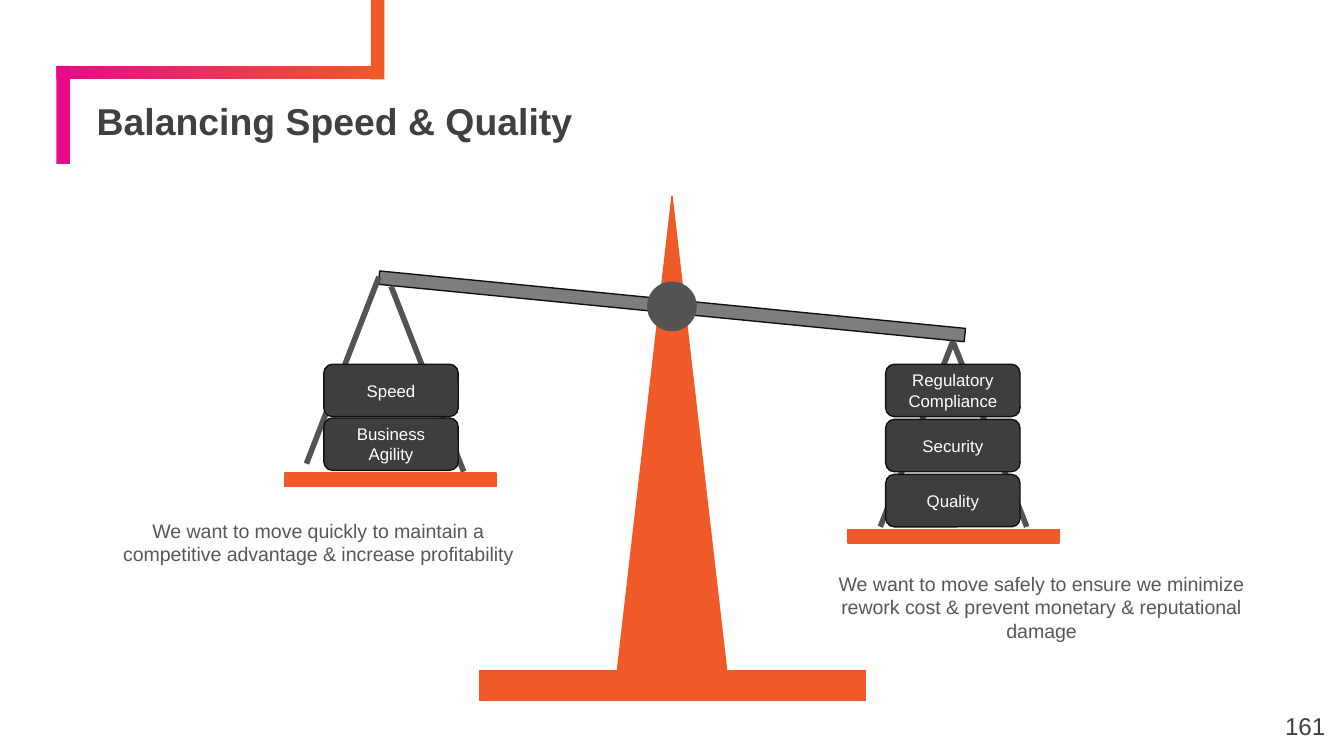
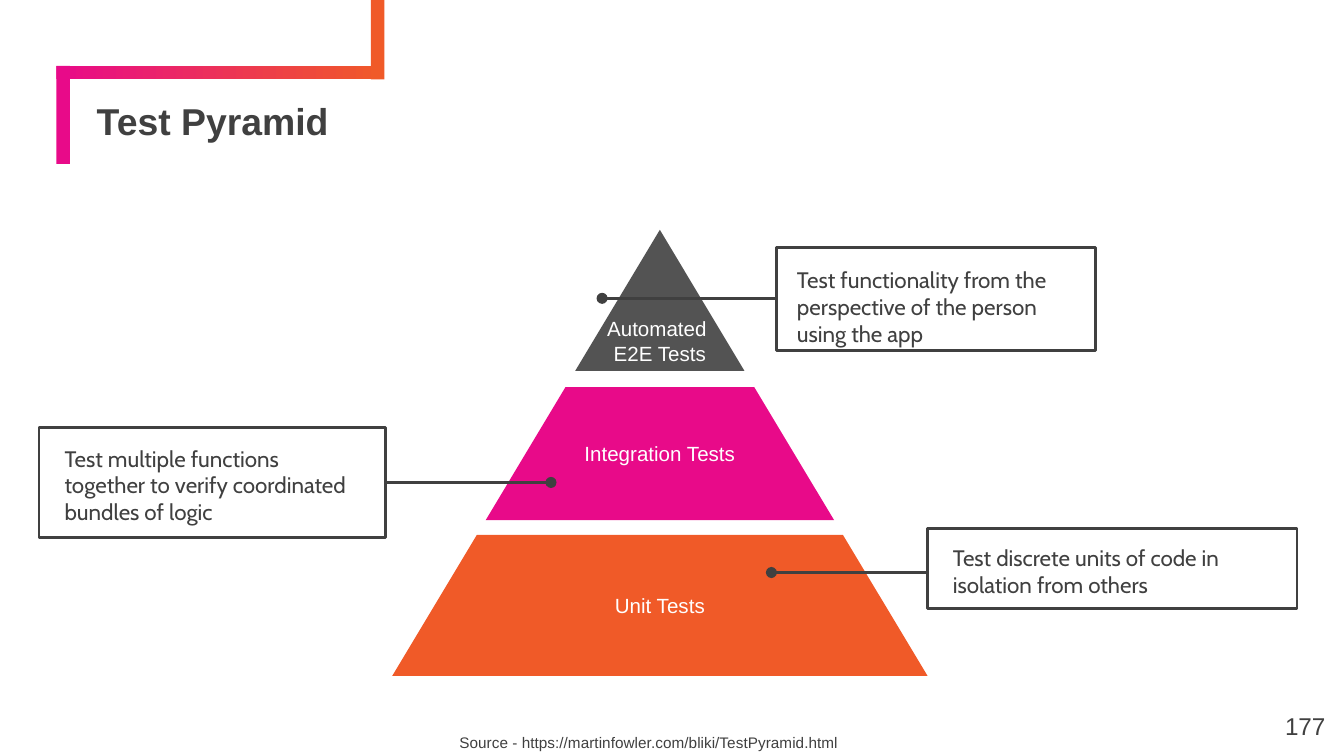
from lxml import etree
from pptx import Presentation
from pptx.dml.color import RGBColor
from pptx.enum.shapes import MSO_CONNECTOR, MSO_SHAPE, MSO_SHAPE_TYPE
from pptx.enum.text import MSO_ANCHOR, PP_ALIGN
from pptx.oxml.ns import qn
from pptx.util import Inches, Pt

RECTANGLE = MSO_SHAPE.RECTANGLE
ROUNDED = MSO_SHAPE.ROUNDED_RECTANGLE
TRIANGLE = MSO_SHAPE.ISOSCELES_TRIANGLE
OVAL = MSO_SHAPE.OVAL
STRAIGHT = MSO_CONNECTOR.STRAIGHT
LINE = MSO_SHAPE_TYPE.LINE
LEFT, CENTER, RIGHT = PP_ALIGN.LEFT, PP_ALIGN.CENTER, PP_ALIGN.RIGHT
TOP, MIDDLE, BOTTOM = MSO_ANCHOR.TOP, MSO_ANCHOR.MIDDLE, MSO_ANCHOR.BOTTOM

ORANGE, PINK, WHITE = "F05A28", "E80A89", "FFFFFF"
INK, STEEL, BLOCK, EDGE = "404040", "535353", "3E3E3E", "101010"
BEAM, CAPTION = "7D7D7D", "575757"
LABEL_INSETS = (0.07, 0.04, 0.07, 0.04)


def paint(shape, fill=None, line=None, weight=0.75):
    """Set the fill, outline and missing shadow of a shape or connector."""
    if line:
        shape.line.color.rgb = RGBColor.from_string(line)
        shape.line.width = Pt(weight)
    else:
        shape.line.fill.background()
    if shape.shape_type == LINE:
        etree.SubElement(shape._element.spPr, qn("a:effectLst"))
        return
    shape.shadow.inherit = False
    if fill:
        shape.fill.solid()
        shape.fill.fore_color.rgb = RGBColor.from_string(fill)


def write(shape, text, size, color, align=CENTER, anchor=MIDDLE,
          insets=LABEL_INSETS, font="Arial", bold=False):
    frame = shape.text_frame
    frame.word_wrap = True
    frame.vertical_anchor = anchor
    (frame.margin_left, frame.margin_top,
     frame.margin_right, frame.margin_bottom) = map(Inches, insets)
    frame.text = text
    for paragraph in frame.paragraphs:
        paragraph.alignment = align
        for run in paragraph.runs:
            run.font.name = font
            run.font.size = Pt(size)
            run.font.bold = bold
            run.font.color.rgb = RGBColor.from_string(color)


presentation = Presentation()
presentation.slide_width = Inches(10)
presentation.slide_height = Inches(10) * 9 // 16

# Shared frame: corner ribbon, title and page number
slides = []
for title, page in (("Balancing Speed & Quality", "161"), ("Test Pyramid", "177")):
    slide = presentation.slides.add_slide(presentation.slide_layouts[6])
    slides.append(slide)
    for at, color in (((0.42, 0.49, 2.43, 0.1), None),
                      ((0.42, 0.49, 0.1, 0.73), PINK),
                      ((2.76, 0, 0.1, 0.59), ORANGE)):
        ribbon = slide.shapes.add_shape(RECTANGLE, *map(Inches, at))
        paint(ribbon, color)
        if not color:
            ribbon.fill.gradient()
            ribbon.fill.gradient_angle = 0
            for stop, stop_color in zip(ribbon.fill.gradient_stops, (PINK, ORANGE)):
                stop.color.rgb = RGBColor.from_string(stop_color)
    heading = slide.shapes.add_textbox(*map(Inches, (0.67, 0.78, 9.03, 0.34)))
    write(heading, title, 20, INK, LEFT, BOTTOM, (0.05,) * 4, bold=True)
    heading.text_frame.paragraphs[0].line_spacing = 0.9
    number = slide.shapes.add_textbox(*map(Inches, (9.36, 5.19, 0.6, 0.43)))
    write(number, page, 13, INK, RIGHT, TOP, (0.1,) * 4)

balance_slide, pyramid_slide = slides

# Balance: stand, beam and pivot
for kind, at, fill, line, rotation in (
        (RECTANGLE, (3.57, 4.99, 2.87, 0.22), ORANGE, ORANGE, 0),
        (TRIANGLE, (4.59, 1.46, 0.82, 3.56), ORANGE, ORANGE, 0),
        (RECTANGLE, (2.81, 2.23, 4.38, 0.1), BEAM, EDGE, 5.6),
        (OVAL, (4.82, 2.1, 0.36, 0.36), STEEL, STEEL, 0)):
    part = balance_slide.shapes.add_shape(kind, *map(Inches, at))
    part.rotation = rotation
    paint(part, fill, line)

# Balance: each side has two cords, a pan, stacked weights and a caption
sides = (
    (((2.82, 2.06, 2.28, 3.45), (2.91, 2.13, 3.45, 3.51)),
     (2.12, 3.52), 2.41, 0.4, ("Speed", "Business Agility"), (0.76, 3.76),
     "We want to move quickly to maintain a competitive advantage "
     "& increase profitability"),
    (((7.09, 2.54, 6.55, 3.92), (7.09, 2.54, 7.64, 3.92)),
     (6.31, 3.94), 6.59, 0.41, ("Regulatory Compliance", "Security", "Quality"),
     (6.14, 4.24),
     "We want to move safely to ensure we minimize rework cost "
     "& prevent monetary & reputational damage"),
)
for cords, pan_at, weight_left, pitch, weights, caption_at, caption_text in sides:
    for ends in cords:
        cord = balance_slide.shapes.add_connector(STRAIGHT, *map(Inches, ends))
        paint(cord, line=STEEL, weight=3)
    pan = balance_slide.shapes.add_shape(RECTANGLE, *map(Inches, (*pan_at, 1.57, 0.1)))
    paint(pan, ORANGE, ORANGE)
    caption = balance_slide.shapes.add_textbox(*map(Inches, (*caption_at, 3.22, 0.55)))
    write(caption, caption_text, 10.5, CAPTION)
    for row, name in enumerate(weights):
        block = balance_slide.shapes.add_shape(
            ROUNDED, *map(Inches, (weight_left, 2.71 + pitch * row, 1, 0.39)))
        paint(block, BLOCK, EDGE)
        write(block, name, 9, WHITE)

# Pyramid: the half width grows evenly from the apex down
source = pyramid_slide.shapes.add_textbox(*map(Inches, (2.05, 5.41, 5.56, 0.22)))
write(source, "Source - https://martinfowler.com/bliki/TestPyramid.html", 8.25, INK)

AXIS, APEX, SLOPE = 4.91, 1.71, 0.6
for top, bottom, color, label, anchor in (
        (APEX, 2.76, STEEL, "Automated \nE2E Tests", BOTTOM),
        (2.88, 3.87, PINK, "Integration Tests", MIDDLE),
        (3.98, 5.03, ORANGE, "Unit Tests", MIDDLE)):
    half_top, half_bottom = SLOPE * (top - APEX), SLOPE * (bottom - APEX)
    corners = [(Inches(AXIS + offset), Inches(y)) for offset, y in (
        (-half_top, top), (-half_bottom, bottom), (half_bottom, bottom), (half_top, top))]
    builder = pyramid_slide.shapes.build_freeform(*corners[0])
    builder.add_line_segments(corners[1:], close=True)
    tier = builder.convert_to_shape()
    paint(tier, color)
    write(tier, label, 11, WHITE, anchor=anchor)

# Pyramid: callouts with a dotted leader into their tier
for leader_ends, frame_at, text_at, note in (
        ((4.48, 2.22, 5.78, 2.22), (5.78, 1.84, 2.37, 0.77), (5.74, 1.93, 2.37, 0.71),
         "Test functionality from the perspective of the person using the app"),
        ((4.1, 3.59, 2.87, 3.59), (0.29, 3.18, 2.58, 0.82), (0.29, 3.26, 2.48, 0.71),
         "Test multiple functions together to verify coordinated bundles of logic"),
        ((5.74, 4.26, 6.9, 4.26), (6.9, 3.93, 2.75, 0.6), (6.9, 4, 2.64, 0.5),
         "Test discrete units of code in isolation from others")):
    leader = pyramid_slide.shapes.add_connector(STRAIGHT, *map(Inches, leader_ends))
    paint(leader, line=INK, weight=1.5)
    outline = leader._element.spPr.find(qn("a:ln"))
    etree.SubElement(outline, qn("a:headEnd"), type="oval")
    frame_box = pyramid_slide.shapes.add_shape(RECTANGLE, *map(Inches, frame_at))
    paint(frame_box, WHITE, INK, 1.5)
    note_box = pyramid_slide.shapes.add_textbox(*map(Inches, text_at))
    write(note_box, note, 12, INK, LEFT, TOP, (0.19, 0.05, 0.1, 0.05), "Cabin")

presentation.save("out.pptx")
